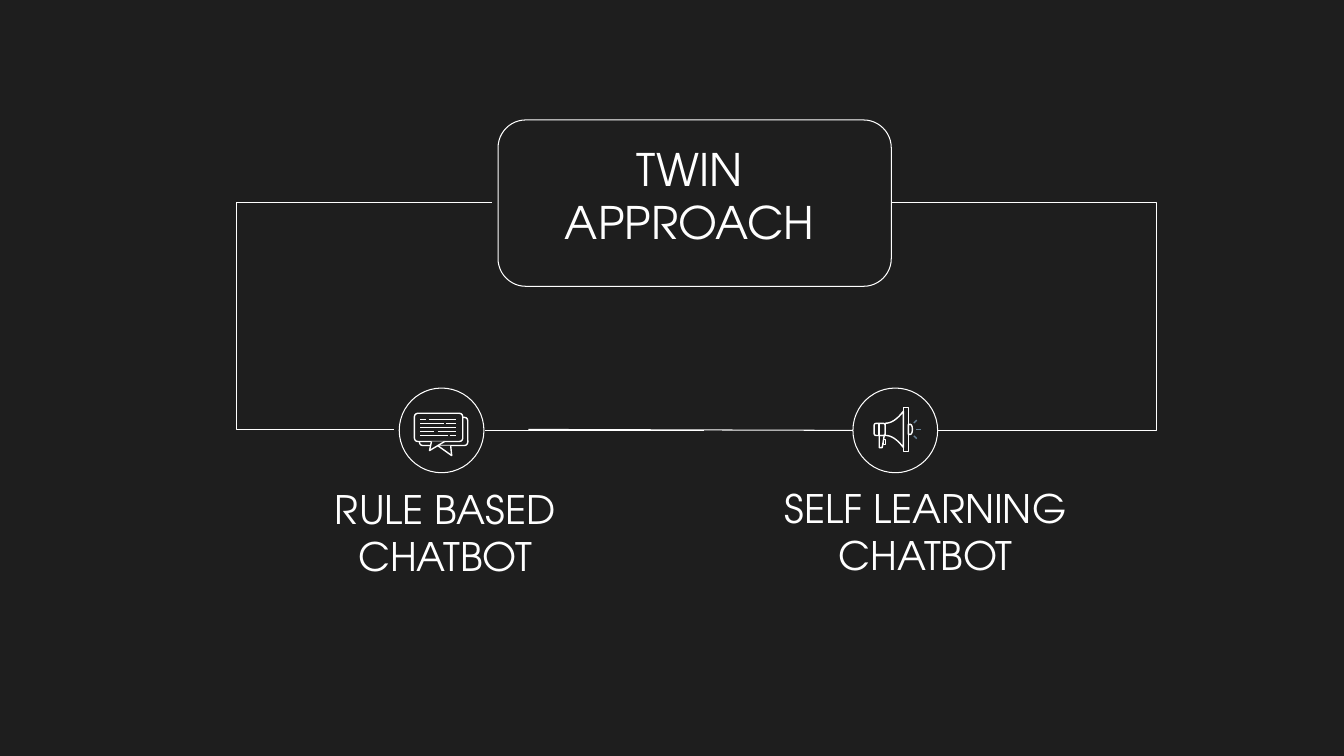
from math import cos, radians, sin

from pptx import Presentation
from pptx.dml.color import RGBColor
from pptx.enum.shapes import MSO_CONNECTOR as Link, MSO_SHAPE as Preset
from pptx.enum.text import MSO_ANCHOR, MSO_AUTO_SIZE, PP_ALIGN
from pptx.oxml.ns import qn
from pptx.util import Inches, Pt

BACKGROUND = RGBColor(0x1E, 0x1E, 0x1E)
WHITE = RGBColor(0xFF, 0xFF, 0xFF)
RAY_BLUE = RGBColor(0x65, 0x7E, 0x93)
FONT = "TeX Gyre Adventor"
GRID = Inches(0.01)  # the slide is 1333 columns by 750 rows
THIN, ICON = Pt(0.75), Pt(1)

deck = Presentation()
deck.slide_width, deck.slide_height = Inches(13.33), Inches(7.5)
page = deck.slides.add_slide(deck.slide_layouts.get_by_name("Comparison"))
page.background.fill.solid()
page.background.fill.fore_color.rgb = BACKGROUND


def style_outline(item, weight, color=WHITE):
    if hasattr(item, "fill"):  # connectors have none
        item.fill.background()
    item.line.color.rgb = color
    item.line.width = weight
    properties = item.element.spPr
    properties.append(properties.makeelement(qn("a:effectLst"), {}))


def draw_path(shapes, points, close):
    scaled = [(round(x * GRID), round(y * GRID)) for x, y in points]
    builder = shapes.build_freeform(*scaled[0])
    builder.add_line_segments(scaled[1:], close=close)
    path_shape = builder.convert_to_shape()
    style_outline(path_shape, ICON)
    return path_shape


# Title and the two labels: placeholder, place, size, lines
texts = [
    (0, (504, 120, 360, 140), 32, ["TWIN APPROACH"]),
    (1, (272, 483, 339, 105), 28, ["RULE BASED", "CHATBOT"]),
    (3, (726, 484, 384, 103), 28, ["SELF LEARNING CHATBOT"]),
]
holders = {holder.placeholder_format.idx: holder for holder in page.placeholders}
for index, place, size, lines in texts:
    box = holders.pop(index)
    box.left, box.top, box.width, box.height = [GRID * n for n in place]
    frame = box.text_frame
    frame.word_wrap = True
    frame.auto_size = MSO_AUTO_SIZE.NONE
    frame.vertical_anchor = MSO_ANCHOR.BOTTOM
    frame.margin_left = frame.margin_right = GRID * 13
    frame.margin_top = frame.margin_bottom = GRID * 13
    para = frame.paragraphs[0]
    para.alignment = PP_ALIGN.CENTER
    para.space_before = Pt(0)
    para.line_spacing = Pt(size * 1.2)
    for number, words in enumerate(lines):
        if number:
            para.add_line_break()
        span = para.add_run()
        span.text = words
        span.font.name = FONT
        span.font.size = Pt(size)
        span.font.bold = False
        span.font.color.rgb = WHITE
for holder in holders.values():
    holder.element.getparent().remove(holder.element)

# Title panel and icon circles
for preset, place in [
    (Preset.ROUNDED_RECTANGLE, (494, 119, 390, 165)),
    (Preset.OVAL, (396, 385, 84, 84)),
    (Preset.OVAL, (846, 385, 84, 84)),
]:
    frame_shape = page.shapes.add_shape(preset, *[GRID * n for n in place])
    style_outline(frame_shape, THIN)

# Connectors: start, end and the column where an elbow bends
for start, end, bend in [
    ((488, 201), (391, 426), 235),
    ((884, 201), (930, 427), 1147),
    ((481, 427), (698, 427), None),
    ((524, 426), (846, 427), None),
]:
    kind = Link.ELBOW if bend else Link.STRAIGHT
    link = page.shapes.add_connector(kind, *[GRID * n for n in start + end])
    style_outline(link, THIN)
    if bend:
        share = round((bend - start[0]) / (end[0] - start[0]) * 100000)
        values = link.element.spPr.find(qn("a:prstGeom")).find(qn("a:avLst"))
        guide = {"name": "adj1", "fmla": f"val {share}"}
        values.append(values.makeelement(qn("a:gd"), guide))

# Megaphone: grip, trigger, disc and cap are presets
megaphone = page.shapes.add_group_shape().shapes
AXIS = 426
for preset, place in [
    (Preset.ROUNDED_RECTANGLE, (867, AXIS - 6, 11, 12)),
    (Preset.RECTANGLE, (876, AXIS + 10, 2, 5)),
    (Preset.RECTANGLE, (896, AXIS - 22, 5, 44)),
    (Preset.FLOWCHART_DELAY, (901, AXIS - 5, 4, 10)),
]:
    part = megaphone.add_shape(preset, *[GRID * n for n in place])
    style_outline(part, ICON)

# The horn flares as a parabola on both sides of the axis
HORN_LEFT, HORN_LENGTH, HORN_STEPS = 878, 18, 8
upper_edge, lower_edge = [], []
for step in range(HORN_STEPS + 1):
    share = step / HORN_STEPS
    column = HORN_LEFT + HORN_LENGTH * share
    half_height = 6 + 12 * share ** 2
    upper_edge.append((column, AXIS - half_height))
    lower_edge.append((column, AXIS + half_height))
handle = [(872, AXIS + 6), (877, AXIS + 6), (875, AXIS + 18), (872, AXIS + 18)]
for points in (upper_edge + lower_edge[::-1], handle):
    draw_path(megaphone, points, close=True)

# Grip divider, then sound rays fanning out from one centre
strokes = [(872, AXIS - 6, 872, AXIS + 6, WHITE)]
for angle in (-45, 0, 45):
    across, down = cos(radians(angle)), sin(radians(angle))
    near, far = [(900 + r * across, AXIS + r * down) for r in (9, 13)]
    strokes.append((*near, *far, RAY_BLUE))
for *ends, color in strokes:
    stroke = megaphone.add_connector(
        Link.STRAIGHT, *[round(GRID * n) for n in ends])
    style_outline(stroke, ICON, color)

# Speech bubbles, rear one first; an open tail hides the edge it hangs from
bubbles = page.shapes.add_group_shape().shapes
BUBBLE_WIDTH, BUBBLE_HEIGHT = 48, 28
for left, top, tail_left, tail_right, tip in [
    (416, 414, 434, 447, (448, 452)),
    (411, 410, 428, 441, (426, 447)),
]:
    place = (left, top, BUBBLE_WIDTH, BUBBLE_HEIGHT)
    body = bubbles.add_shape(
        Preset.ROUNDED_RECTANGLE, *[GRID * n for n in place])
    body.adjustments[0] = 0.12
    style_outline(body, ICON)
    base = top + BUBBLE_HEIGHT
    tail = draw_path(
        bubbles, [(tail_left, base), tip, (tail_right, base)], close=False)
    for piece in (body, tail):
        piece.fill.solid()
        piece.fill.fore_color.rgb = BACKGROUND

# Lines of writing run from margin to margin, each with its own gap
FIRST_ROW, ROW_STEP = 416, 4
gaps = [(423, 425), (440, 442), (), (430, 434), (444, 446)]
for number, gap in enumerate(gaps):
    row = FIRST_ROW + number * ROW_STEP
    stops = (417, *gap, 452)
    for start, end in zip(stops[::2], stops[1::2]):
        dash = bubbles.add_connector(
            Link.STRAIGHT, *[GRID * n for n in (start, row, end, row)])
        style_outline(dash, ICON)

deck.save("out.pptx")
